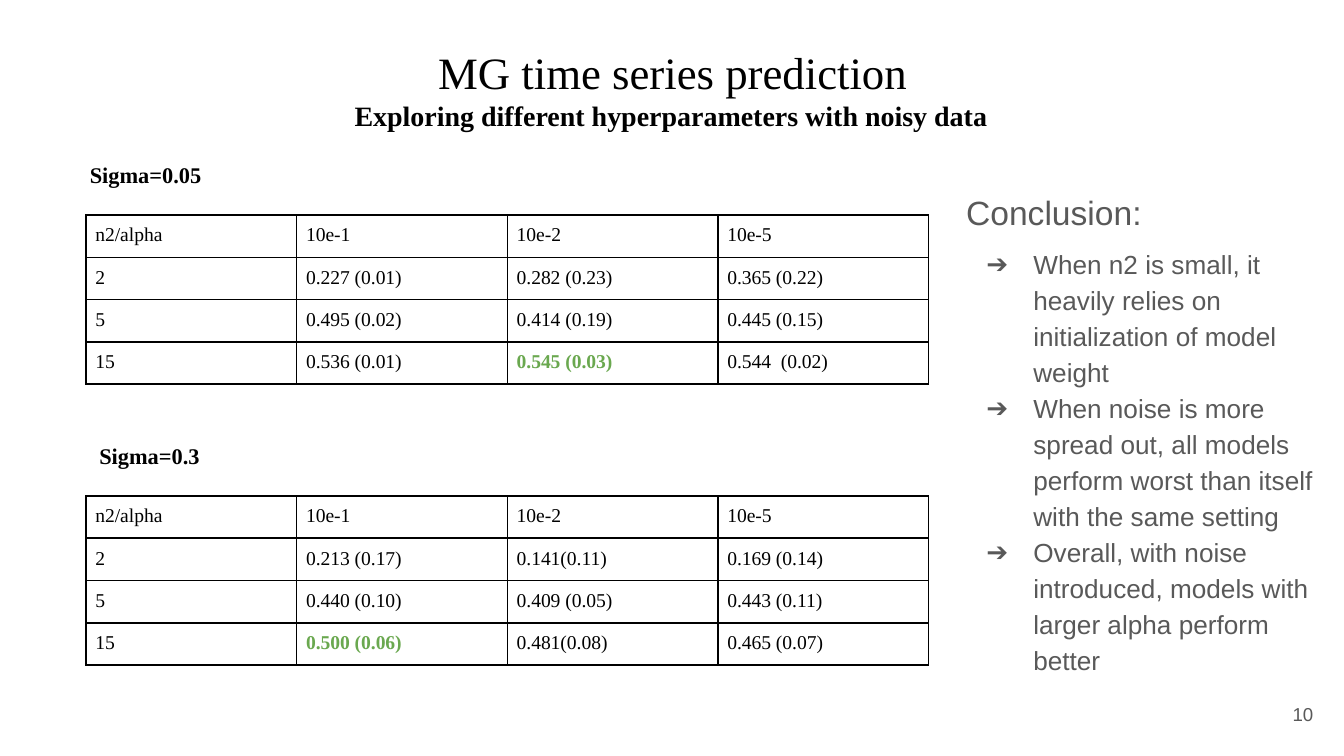
"""Build the slide of noisy-data hyperparameter results for MG time series prediction."""
import lxml.etree
import pptx
import pptx.dml.color
import pptx.enum.text
import pptx.oxml.ns
import pptx.util

Inches = pptx.util.Inches
Pt = pptx.util.Pt
qn = pptx.oxml.ns.qn
ALIGN = pptx.enum.text.PP_ALIGN
ANCHOR = pptx.enum.text.MSO_ANCHOR
SERIF, SANS = "Times New Roman", "Arial"
BLACK, GRAY, GREEN = "000000", "595959", "6AA84F"


def write(p, text, size, name, color, bold=False, **paragraph):
    r = p.add_run()
    r.text = text
    for key, value in {"size": Pt(size), "name": name, "bold": bold}.items():
        setattr(r.font, key, value)
    r.font.color.rgb = pptx.dml.color.RGBColor.from_string(color)
    for key, value in paragraph.items():
        setattr(p, key, value)


def add_box(left, top, width, height, anchor=ANCHOR.TOP):
    tf = s.shapes.add_textbox(Inches(left), Inches(top), Inches(width), Inches(height)).text_frame
    settings = {"word_wrap": True, "vertical_anchor": anchor}
    for side in ("left", "right", "top", "bottom"):
        settings[f"margin_{side}"] = Inches(0.1)
    for key, value in settings.items():
        setattr(tf, key, value)
    return tf


prs = pptx.Presentation()
prs.slide_width, prs.slide_height = Inches(10), Inches(10 * 9 / 16)
s = prs.slides.add_slide(prs.slide_layouts[6])

tf = add_box(9.27, 5.1, 0.6, 0.43, ANCHOR.MIDDLE)
write(tf.paragraphs[0], "10", 10, SANS, GRAY, alignment=ALIGN.RIGHT)

header = ["n2/alpha", "10e-1", "10e-2", "10e-5"]
results = [
    ("Sigma=0.05", 0.57, 0.97, 1.77, 1.6, "0.545 (0.03)", [
        header,
        ["2", "0.227 (0.01)", "0.282 (0.23)", "0.365 (0.22)"],
        ["5", "0.495 (0.02)", "0.414 (0.19)", "0.445 (0.15)"],
        ["15", "0.536 (0.01)", "0.545 (0.03)", "0.544  (0.02)"],
    ]),
    ("Sigma=0.3", 0.64, 3.06, 2.89, 3.69, "0.500 (0.06)", [
        header,
        ["2", "0.213 (0.17)", "0.141(0.11)", "0.169 (0.14)"],
        ["5", "0.440 (0.10)", "0.409 (0.05)", "0.443 (0.11)"],
        ["15", "0.500 (0.06)", "0.481(0.08)", "0.465 (0.07)"],
    ]),
]
for label, label_left, label_top, label_width, table_top, best, rows in results:
    frame = s.shapes.add_table(4, 4, Inches(0.64), Inches(table_top), Inches(6.27), Inches(0.04))
    frame.width = frame.height = Inches(3.28)
    table = frame.table
    table.first_row = table.horz_banding = False
    for i, row in enumerate(rows):
        for j, value in enumerate(row):
            cell = table.cell(i, j)
            cell.fill.background()
            for side in ("left", "right", "top", "bottom"):
                setattr(cell, f"margin_{side}", Inches(0.07))
            is_best = value == best
            write(cell.text_frame.paragraphs[0], value, 10.5, SERIF, GREEN if is_best else BLACK, is_best)
            tcPr = cell._tc.get_or_add_tcPr()
            for k, edge in enumerate(("a:lnL", "a:lnR", "a:lnT", "a:lnB")):
                line = lxml.etree.Element(qn(edge), w=str(Pt(1)))
                fill = lxml.etree.SubElement(line, qn("a:solidFill"))
                lxml.etree.SubElement(fill, qn("a:srgbClr"), val=BLACK)
                tcPr.insert(k, line)

    tf = add_box(label_left, label_top, label_width, 0.63, ANCHOR.MIDDLE)
    write(tf.paragraphs[0], label, 12, SERIF, BLACK, True, line_spacing=1.15)

tf = add_box(2.54, 0.17, 4.93, 0.92)
write(tf.paragraphs[0], "MG time series prediction", 24, SERIF, BLACK, alignment=ALIGN.CENTER, line_spacing=1.15)
write(tf.add_paragraph(), "Exploring different hyperparameters with noisy data", 15, SERIF, BLACK, True)

tf = add_box(7.09, 1.33, 2.85, 3.81)
write(tf.paragraphs[0], "Conclusion:", 18, SANS, GRAY, space_after=Pt(6))
for text in (
    "When n2 is small, it heavily relies on initialization of model weight",
    "When noise is more spread out, all models perform worst than itself with the same setting",
    "Overall, with noise introduced, models with larger alpha perform better",
):
    p = tf.add_paragraph()
    write(p, text, 14, SANS, GRAY, line_spacing=1.15)
    pPr = p._p.get_or_add_pPr()
    pPr.set("marL", str(Inches(0.5)))
    pPr.set("indent", str(Inches(-0.35)))
    color = lxml.etree.SubElement(pPr, qn("a:buClr"))
    lxml.etree.SubElement(color, qn("a:srgbClr"), val=GRAY)
    lxml.etree.SubElement(pPr, qn("a:buFont"), typeface=SANS)
    lxml.etree.SubElement(pPr, qn("a:buChar"), char="➔")

prs.save("out.pptx")
